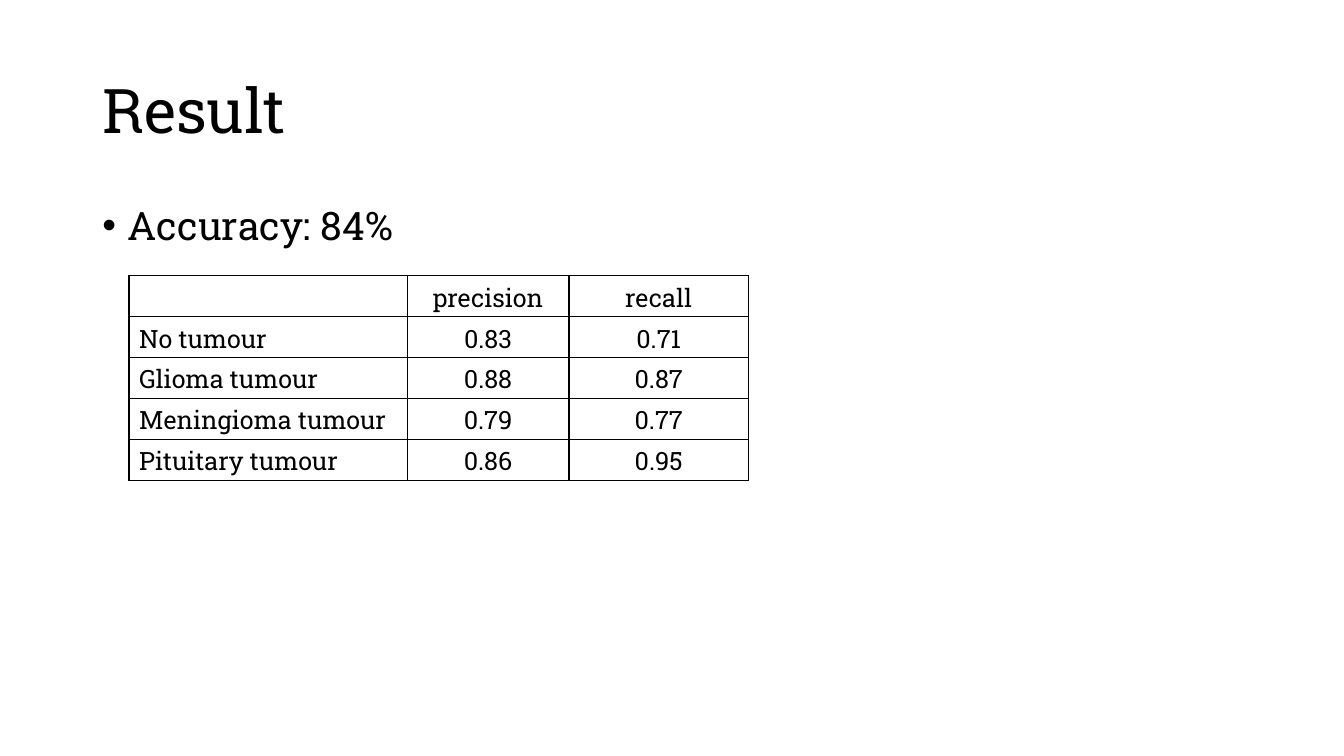
from dataclasses import dataclass

from lxml.etree import SubElement
from pptx import Presentation
from pptx.dml.color import RGBColor
from pptx.enum.text import MSO_ANCHOR, PP_ALIGN
from pptx.oxml.ns import qn
from pptx.util import Pt


@dataclass(frozen=True)
class Theme:
    font: str = "Roboto Slab"
    ink: RGBColor = RGBColor(0, 0, 0)
    paper: RGBColor = RGBColor(255, 255, 255)
    title: int = 44
    body: int = 28
    table: int = 18
    border: int = 1


THEME = Theme()
SCORES = [
    ("", "precision", "recall"),
    ("No tumour", "0.83", "0.71"),
    ("Glioma tumour", "0.88", "0.87"),
    ("Meningioma tumour", "0.79", "0.77"),
    ("Pituitary tumour", "0.86", "0.95"),
]


def add_run(p, text, size):
    r = p.add_run()
    r.text = text
    r.font.name = THEME.font
    r.font.size = Pt(size)
    r.font.color.rgb = THEME.ink


def add_text(s, box, text, size, anchor):
    tf = s.shapes.add_textbox(*map(Pt, box)).text_frame
    tf.word_wrap = True
    tf.vertical_anchor = anchor
    p = tf.paragraphs[0]
    p.line_spacing = 0.9
    add_run(p, text, size)
    return p


def add_title(s, box, text):
    add_text(s, box, text, THEME.title, MSO_ANCHOR.MIDDLE)


def add_bullet(s, box, text):
    p = add_text(s, box, text, THEME.body, MSO_ANCHOR.TOP)
    p.space_before = Pt(10)
    pPr = p._p.get_or_add_pPr()
    pPr.set("marL", str(Pt(18)))
    pPr.set("indent", str(-Pt(18)))
    SubElement(pPr, qn("a:buFont"), typeface="Arial")
    SubElement(pPr, qn("a:buChar"), char="•")


def add_borders(cell):
    tcPr = cell._tc.get_or_add_tcPr()
    for side in ("lnL", "lnR", "lnT", "lnB"):
        ln = SubElement(tcPr, qn(f"a:{side}"), w=str(Pt(THEME.border)))
        fill = SubElement(ln, qn("a:solidFill"))
        SubElement(fill, qn("a:srgbClr"), val=str(THEME.ink))


def add_scores(s, box, rows, widths):
    table = s.shapes.add_table(len(rows), len(widths), *map(Pt, box)).table
    table.first_row = False
    table.horz_banding = False
    for column, width in zip(table.columns, widths):
        column.width = Pt(width)
    for i, row in enumerate(rows):
        table.rows[i].height = Pt(box[3] / len(rows))
        for j, text in enumerate(row):
            cell = table.cell(i, j)
            cell.vertical_anchor = MSO_ANCHOR.MIDDLE
            add_borders(cell)
            cell.fill.background()
            p = cell.text_frame.paragraphs[0]
            p.alignment = PP_ALIGN.CENTER if j else PP_ALIGN.LEFT
            if text:
                add_run(p, text, THEME.table)


def add_result_slide(prs):
    s = prs.slides.add_slide(prs.slide_layouts[6])
    s.background.fill.solid()
    s.background.fill.fore_color.rgb = THEME.paper
    add_title(s, (66, 28.75, 828, 104.4), "Result")
    add_bullet(s, (66, 143.75, 828, 342.6), "Accuracy: 84%")
    add_scores(s, (92.2, 197, 442.4, 146), SCORES, (198.6, 115.6, 128.2))


def main():
    prs = Presentation()
    prs.slide_width, prs.slide_height = Pt(960), Pt(540)
    add_result_slide(prs)
    prs.save("out.pptx")


if __name__ == "__main__":
    main()
